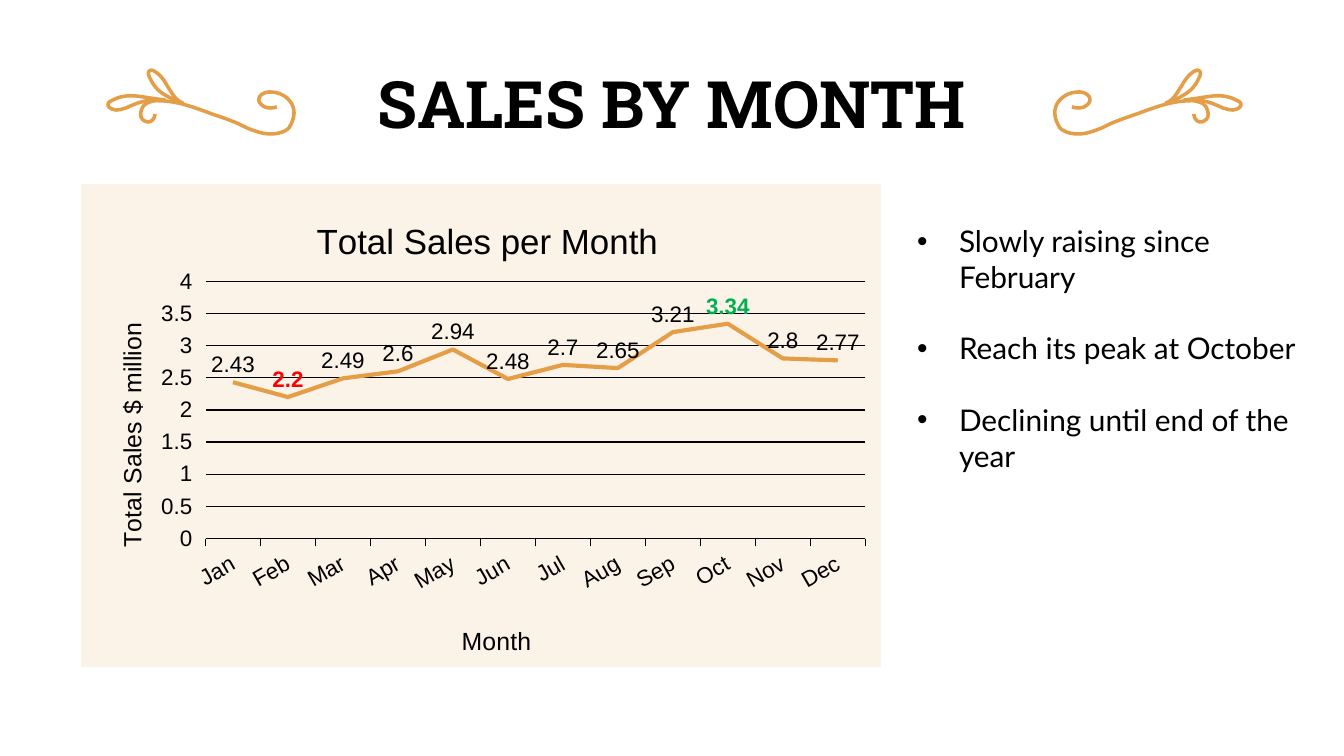
"""Build the sales by month slide with a line chart and takeaways."""
from pptx import Presentation
from pptx import util as u
from pptx.chart.data import CategoryChartData
from pptx.dml.color import RGBColor
from pptx.enum import chart as ch
from pptx.enum import text
from pptx.oxml import parse_xml
from pptx.oxml.ns import nsdecls, qn

PX = 914400 / 134.4
BLACK = RGBColor(0x00, 0x00, 0x00)
GOLD = RGBColor(0xE4, 0x9E, 0x48)
RED = RGBColor(0xFF, 0x00, 0x00)
GREEN = RGBColor(0x00, 0xB0, 0x50)
CHART_BOX = (80, 183, 802, 485)


def set_layout(parent, index, x, y, w=None, h=None):
    """Pin a chart part at px offsets inside the chart."""
    for old in parent.findall(qn("c:layout")):
        parent.remove(old)
    body = '<c:layoutTarget val="inner"/>' if w else ""
    body += '<c:xMode val="edge"/><c:yMode val="edge"/>'
    for tag, value, whole in zip("xywh", (x, y, w, h), CHART_BOX[2:] * 2):
        if value is not None:
            body += f'<c:{tag} val="{value / whole:.4f}"/>'
    parent.insert(index, parse_xml(
        f'<c:layout {nsdecls("c")}><c:manualLayout>{body}</c:manualLayout></c:layout>'))


def set_title(title, words, size, x, y):
    """Write a chart or axis title and pin it."""
    r = title.text_frame.paragraphs[0].add_run()
    r.text = words
    r.font.name, r.font.size, r.font.bold = "Arial", u.Pt(size), False
    r.font.color.rgb = BLACK
    set_layout(title._element, 1, x, y)


prs = Presentation()
prs.slide_width, prs.slide_height = round(1344 * PX), round(756 * PX)
s = prs.slides.add_slide(prs.slide_layouts[1])
title, body = s.placeholders[0], s.placeholders[1]

strokes = [
    [(183, 103), (176, 101), (172, 93), (168, 87), (164, 80), (160, 74), (154, 71),
     (151, 69), (147, 71), (149, 76), (152, 83), (156, 89), (162, 93),
     (168, 97), (175, 101), (183, 103)],
    [(165, 100), (155, 99), (145, 97), (136, 96), (126, 95), (118, 97), (111, 101),
     (106, 103), (107, 109), (116, 110), (120, 110), (122, 109), (126, 108),
     (137, 103), (145, 99), (165, 100)],
    [(155, 114), (155, 117), (153, 122), (148, 122), (142, 121), (140, 117), (141, 112),
     (142, 106), (146, 103), (150, 102), (155, 100), (160, 101), (164, 101),
     (180, 102), (196, 108), (212, 114), (224, 118), (236, 122), (247, 128),
     (255, 131), (262, 134), (271, 134), (278, 134), (285, 132), (289, 128),
     (294, 120), (296, 112), (292, 104), (288, 97), (280, 92), (270, 92),
     (265, 92), (258, 95), (259, 101), (261, 106), (267, 110), (277, 107)],
]
for mirrored in (False, True):
    for stroke in strokes:
        knots = [((1349 - x if mirrored else x) * PX, y * PX) for x, y in stroke]
        points = []
        for i in range(0, len(knots) - 1, 3):
            for t in (n / 8 for n in range(1, 9)):
                weights = ((1 - t) ** 3, 3 * t * (1 - t) ** 2, 3 * t * t * (1 - t), t ** 3)
                points.append([sum(k * v for k, v in zip(weights, axis))
                               for axis in zip(*knots[i:i + 4])])
        builder = s.shapes.build_freeform(*knots[0])
        builder.add_line_segments(points, close=False)
        sp = builder.convert_to_shape()
        sp.shadow.inherit = False
        sp.fill.background()
        sp.line.color.rgb = GOLD
        sp.line.width = u.Pt(1.9)

for sp, box in ((title, (103, 52, 1138, 100)), (body, (904, 210, 410, 343))):
    sp.left, sp.top, sp.width, sp.height = (round(v * PX) for v in box)
    tf = sp.text_frame
    tf.word_wrap = True
    tf.auto_size = text.MSO_AUTO_SIZE.NONE
    tf.margin_left = tf.margin_right = tf.margin_top = tf.margin_bottom = round(13 * PX)

tf = title.text_frame
tf.vertical_anchor = text.MSO_ANCHOR.MIDDLE
p = tf.paragraphs[0]
p.alignment = text.PP_ALIGN.CENTER
r = p.add_run()
r.text = "SALES BY MONTH"
r.font.name, r.font.size, r.font.bold = "Roboto Slab", u.Pt(35), True
r.font.color.rgb = BLACK

tf = body.text_frame
tf.vertical_anchor = text.MSO_ANCHOR.TOP
notes = ["Slowly raising since February", "Reach its peak at October",
         "Declining until end of the year"]
for i, note in enumerate(notes):
    p = tf.add_paragraph() if i else tf.paragraphs[0]
    pPr = p._p.get_or_add_pPr()
    pPr.set("marL", str(round(42 * PX)))
    pPr.set("indent", str(round(-42 * PX)))
    for xml in ('<a:buClr {}><a:srgbClr val="000000"/></a:buClr>',
                '<a:buFont {} typeface="Arial"/>', '<a:buChar {} char="•"/>'):
        pPr.append(parse_xml(xml.format(nsdecls("a"))))
    p.space_before = u.Pt(0)
    p.space_after = u.Pt(19 if i < len(notes) - 1 else 0)
    r = p.add_run()
    r.text = note
    r.font.name, r.font.size = "Lato", u.Pt(16)
    r.font.color.rgb = BLACK

data = CategoryChartData()
data.categories = "Jan Feb Mar Apr May Jun Jul Aug Sep Oct Nov Dec".split()
data.add_series("Series 1", [2.43, 2.2, 2.49, 2.6, 2.94, 2.48,
                             2.7, 2.65, 3.21, 3.34, 2.8, 2.77])
chart = s.shapes.add_chart(ch.XL_CHART_TYPE.LINE,
                           *(round(v * PX) for v in CHART_BOX), data).chart
chart.has_legend = False
chart.font.name, chart.font.size = "Arial", u.Pt(12)
chart.font.color.rgb = BLACK
chart.has_title = True
set_title(chart.chart_title, "Total Sales per Month", 18.7, 230, 28)
plot_area = chart._chartSpace.chart.plotArea
set_layout(plot_area, 0, 125, 98, 661, 258)
chart._chartSpace.chart.addnext(parse_xml(
    f'<c:spPr {nsdecls("c", "a")}><a:solidFill><a:srgbClr val="FBE8D2">'
    '<a:alpha val="50000"/></a:srgbClr></a:solidFill><a:ln w="9525"><a:solidFill>'
    '<a:srgbClr val="FFFFFF"/></a:solidFill></a:ln></c:spPr>'))

months, sales = chart.category_axis, chart.value_axis
for axis, words, x, y in ((months, "Month", 377, 438),
                          (sales, "Total Sales $ million", 31, 135)):
    axis.major_tick_mark = ch.XL_TICK_MARK.OUTSIDE
    axis.minor_tick_mark = ch.XL_TICK_MARK.NONE
    axis.tick_labels.font.name = "Arial"
    axis.tick_labels.font.size = u.Pt(12)
    axis.tick_labels.font.color.rgb = BLACK
    set_title(axis.axis_title, words, 13.3, x, y)
months._element.find(qn("c:txPr")).find(qn("a:bodyPr")).set("rot", "-1800000")
sales.axis_title.text_frame._txBody.bodyPr.set("rot", "-5400000")
sales.minimum_scale, sales.maximum_scale, sales.major_unit = 0, 4, 0.5
sales.format.line.fill.background()
sales.has_major_gridlines = True
for line in (months.format.line, sales.major_gridlines.format.line):
    line.color.rgb = BLACK
    line.width = u.Pt(0.75)

chart.plots[0].vary_by_categories = False
series = chart.plots[0].series[0]
series.smooth = False
series.marker.style = ch.XL_MARKER_STYLE.NONE
series.format.line.color.rgb = GOLD
series.format.line.width = u.Pt(2.25)
labels = series.data_labels
labels.show_value = True
low, high = (series.points[i].data_label for i in (1, 9))
for label, color, bold in ((labels, BLACK, False), (low, RED, True), (high, GREEN, True)):
    label.font.name, label.font.size, label.font.bold = "Arial", u.Pt(12), bold
    label.font.color.rgb = color
    label.position = ch.XL_LABEL_POSITION.ABOVE

prs.save("out.pptx")
